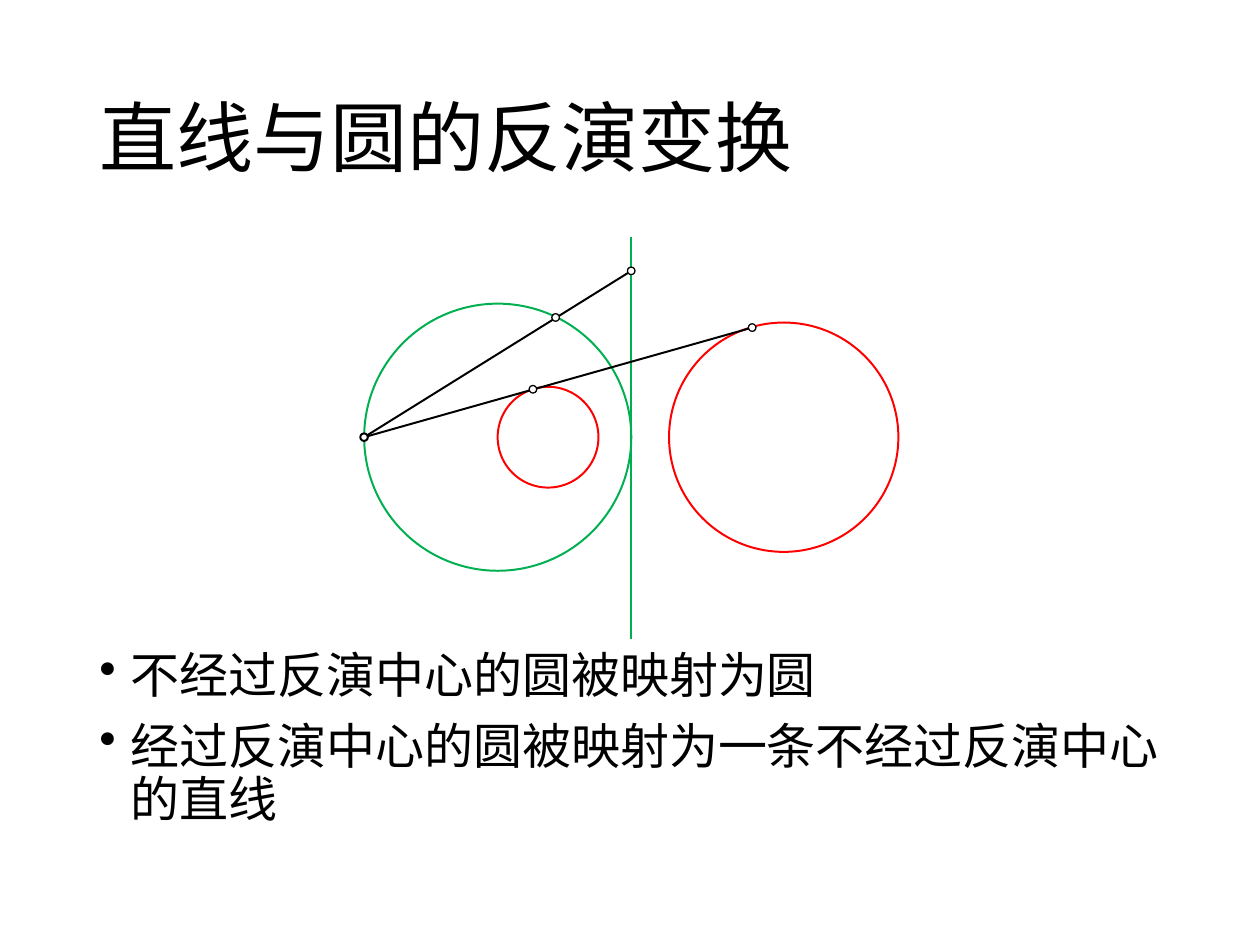
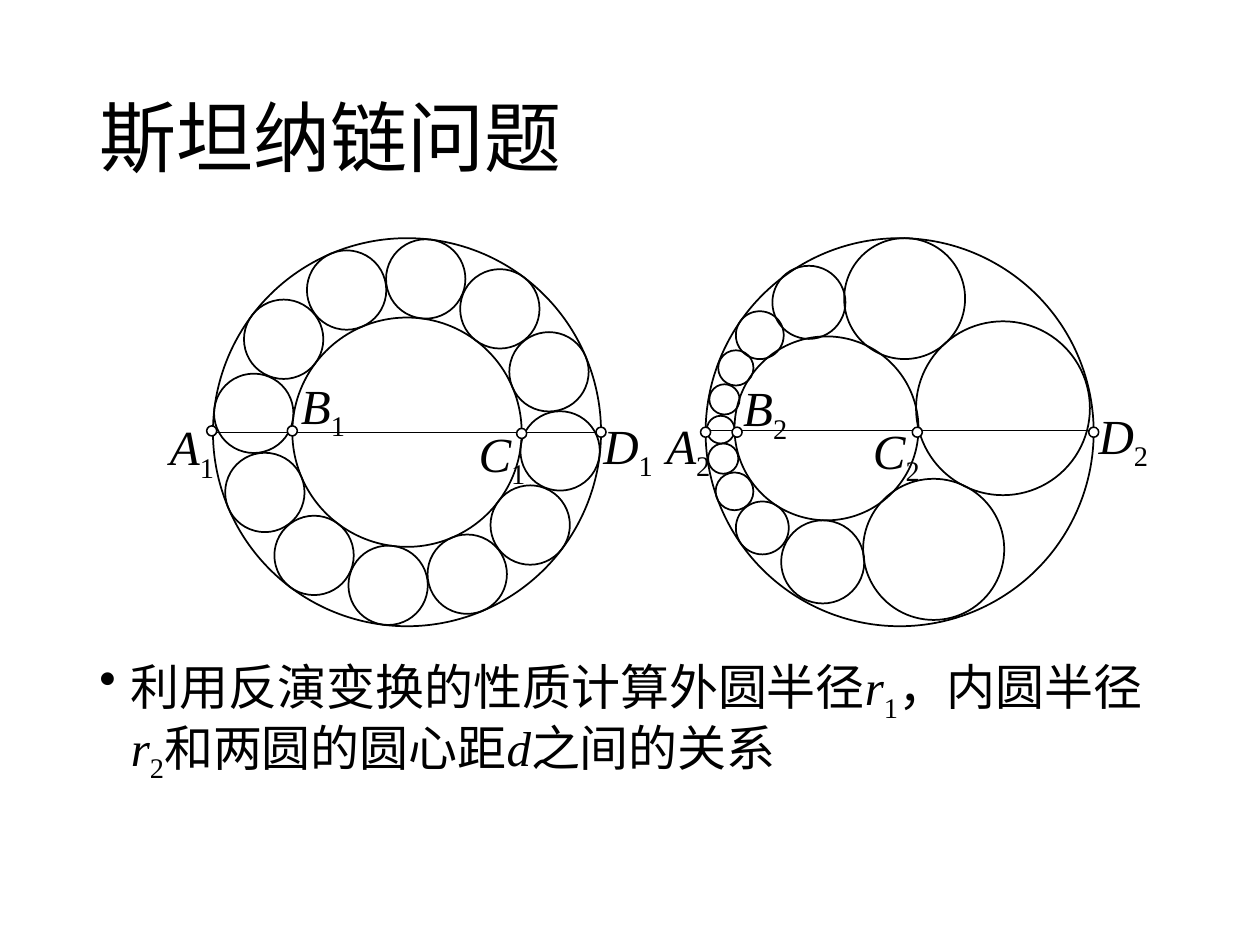
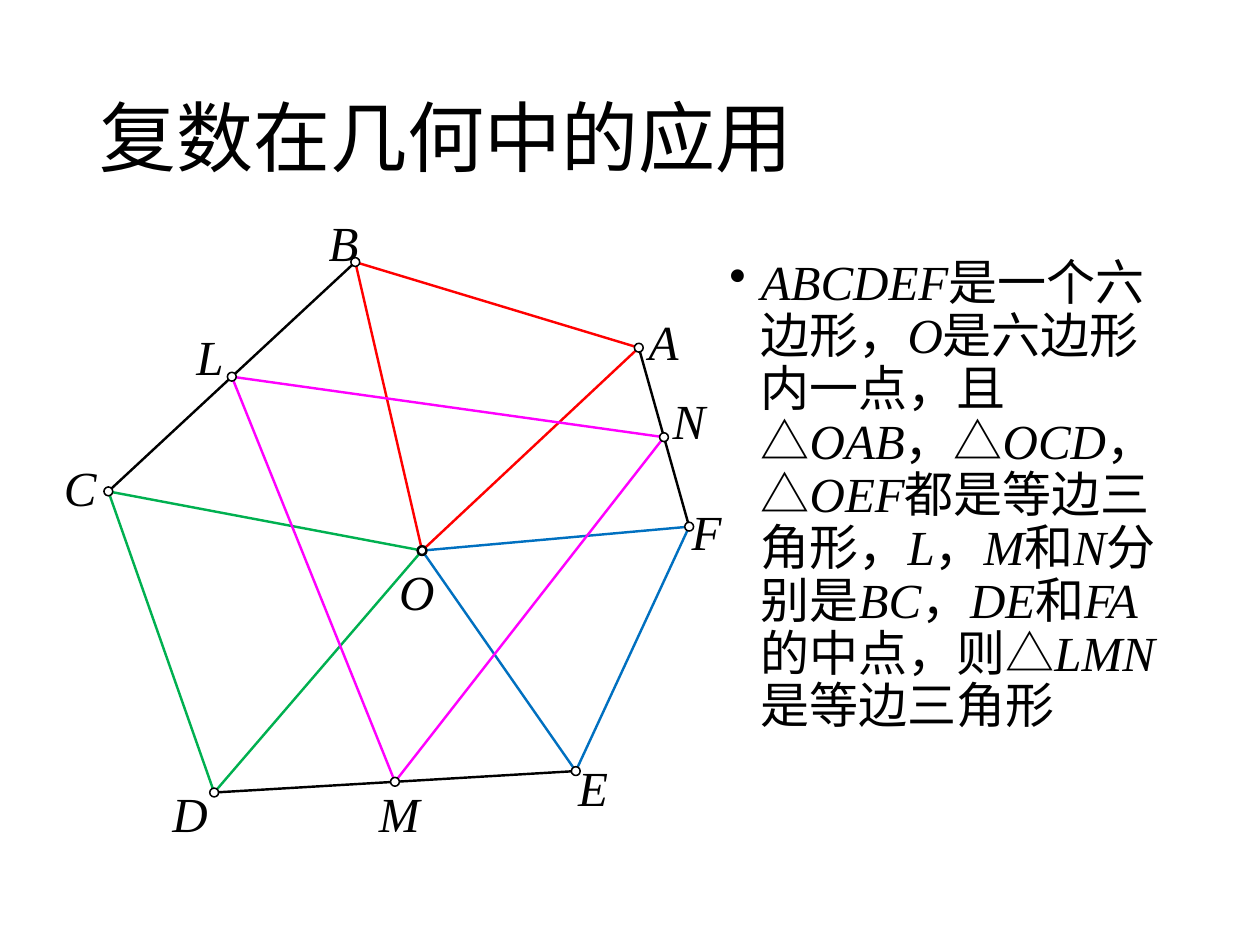
import math

import pptx
import pptx.dml.color
import pptx.enum.shapes
import pptx.enum.text
import pptx.oxml.ns
import pptx.util
from lxml import etree

Inches = pptx.util.Inches
Pt = pptx.util.Pt
qn = pptx.oxml.ns.qn

COLORS = {
    "black": "000000",
    "white": "FFFFFF",
    "green": "00B050",
    "red": "FF0000",
    "blue": "0070C0",
    "magenta": "FF00FF",
}
CJK_FONT = "Noto Sans CJK SC"
MATH_FONT = "Times New Roman"
TITLE_SIZE = 44
TEXT_SIZE = 28
LABEL_HEIGHT = 0.57


def rgb(color):
    return pptx.dml.color.RGBColor.from_string(COLORS[color])


def style_run(run, size, latin_font, italic=False, subscript=False):
    run.font.size = Pt(size)
    run.font.color.rgb = rgb("black")
    run.font.name = latin_font
    run.font.italic = italic
    properties = run._r.get_or_add_rPr()
    etree.SubElement(properties, qn("a:ea")).set("typeface", CJK_FONT)
    if subscript:
        properties.set("baseline", "-25000")


def write_math(paragraph, markup, latin_font=MATH_FONT):
    for index, segment in enumerate(markup.split("*")):
        symbol, _, subscript = segment.partition("_")
        for text, italic, lowered in ((symbol, index % 2 == 1, False), (subscript, False, True)):
            if text:
                run = paragraph.add_run()
                run.text = text
                style_run(run, TEXT_SIZE, latin_font, italic, lowered)


def add_text_frame(slide, left, top, width, height):
    box = slide.shapes.add_textbox(Inches(left), Inches(top), Inches(width), Inches(height))
    box.text_frame.word_wrap = True
    return box.text_frame


def add_titled_slide(deck, title):
    slide = deck.slides.add_slide(deck.slide_layouts[6])
    frame = add_text_frame(slide, 0.69, 0.4, 8.62, 1.45)
    frame.vertical_anchor = pptx.enum.text.MSO_ANCHOR.MIDDLE
    frame.text = title
    frame.paragraphs[0].line_spacing = 0.9
    style_run(frame.paragraphs[0].runs[0], TITLE_SIZE, CJK_FONT)
    return slide


def add_bullets(slide, left, top, width, height, statements, latin_font=MATH_FONT):
    frame = add_text_frame(slide, left, top, width, height)
    for index, statement in enumerate(statements):
        paragraph = frame.add_paragraph() if index else frame.paragraphs[0]
        properties = paragraph._p.get_or_add_pPr()
        properties.set("marL", str(Inches(0.25)))
        properties.set("indent", str(Inches(-0.25)))
        etree.SubElement(properties, qn("a:buChar")).set("char", "•")
        paragraph.line_spacing = 0.9
        if index:
            paragraph.space_before = Pt(10)
        write_math(paragraph, statement, latin_font)


def add_label(slide, markup, left, top, width):
    frame = add_text_frame(slide, left, top, width, LABEL_HEIGHT)
    frame.word_wrap = False
    frame.auto_size = pptx.enum.text.MSO_AUTO_SIZE.SHAPE_TO_FIT_TEXT
    write_math(frame.paragraphs[0], markup)


def add_circle(slide, center, radius, color="black", weight=1, fill=None):
    x, y = center
    circle = slide.shapes.add_shape(
        pptx.enum.shapes.MSO_SHAPE.OVAL,
        Inches(x - radius), Inches(y - radius), Inches(2 * radius), Inches(2 * radius))
    circle.shadow.inherit = False
    if fill:
        circle.fill.solid()
        circle.fill.fore_color.rgb = rgb(fill)
    else:
        circle.fill.background()
    circle.line.color.rgb = rgb(color)
    circle.line.width = Pt(weight)


def add_point(slide, center, radius=0.04, weight=0.88):
    add_circle(slide, center, radius, weight=weight, fill="white")


def add_segment(slide, start, end, color="black", weight=1.0):
    segment = slide.shapes.add_connector(
        pptx.enum.shapes.MSO_CONNECTOR.STRAIGHT, *(Inches(v) for v in (*start, *end)))
    segment.line.color.rgb = rgb(color)
    segment.line.width = Pt(weight)
    etree.SubElement(segment._element.spPr, qn("a:effectLst"))


def midpoint(first, second):
    return tuple((a + b) / 2 for a, b in zip(first, second))


def build_inversion_slide(deck):
    slide = add_titled_slide(deck, "直线与圆的反演变换")
    add_bullets(slide, 0.69, 5.12, 8.62, 1.63,
                ["不经过反演中心的圆被映射为圆",
                 "经过反演中心的圆被映射为一条不经过反演中心的直线"], CJK_FONT)
    weight = 1.13
    inversion_center = (2.89, 3.47)
    on_line, on_green_circle = (5.01, 2.15), (4.41, 2.52)
    on_large_circle, on_small_circle = (5.97, 2.6), (4.23, 3.09)
    for center, radius, color in (
            ((3.95, 3.47), 1.06, "green"),
            ((4.35, 3.47), 0.4, "red"),
            ((6.22, 3.47), 0.91, "red")):
        add_circle(slide, center, radius, color, weight)
    add_segment(slide, (5.01, 1.88), (5.01, 5.07), "green", weight)
    for image_point in (on_large_circle, on_line):
        add_segment(slide, inversion_center, image_point, weight=weight)
    add_point(slide, inversion_center, 0.03, weight)
    for point in (on_large_circle, on_small_circle, on_line, on_green_circle):
        add_point(slide, point, 0.03, 0.75)


def build_steiner_slide(deck):
    slide = add_titled_slide(deck, "斯坦纳链问题")
    add_bullets(slide, 0.69, 5.17, 8.62, 1.19,
                ["利用反演变换的性质计算外圆半径*r_1*，内圆半径*r_2*和两圆的圆心距*d*之间的关系"])

    x, y = ring_center = (3.23, 3.43)
    outer_radius, inner_radius = 1.54, 0.91
    ring_radius = (outer_radius + inner_radius) / 2
    chain_length = 12
    for index in range(chain_length):
        angle = math.radians(7 + 360 / chain_length * index)
        center = (x + ring_radius * math.cos(angle), y + ring_radius * math.sin(angle))
        add_circle(slide, center, (outer_radius - inner_radius) / 2)
    for radius in (outer_radius, inner_radius):
        add_circle(slide, ring_center, radius)

    eccentric_chain = [
        (5.72, 3.41, 0.11), (5.75, 3.17, 0.12), (5.84, 2.92, 0.14), (6.03, 2.66, 0.19),
        (6.42, 2.4, 0.29), (7.18, 2.37, 0.48), (7.96, 3.24, 0.69), (7.41, 4.36, 0.56),
        (6.53, 4.46, 0.33), (6.05, 4.19, 0.21), (5.83, 3.9, 0.15), (5.74, 3.64, 0.12),
    ]
    eccentric_bounds = [(6.56, 3.4, 0.73), (7.14, 3.43, 1.54)]
    for x, y, radius in eccentric_chain + eccentric_bounds:
        add_circle(slide, (x, y), radius)

    add_segment(slide, (1.69, 3.43), (4.77, 3.43), weight=0.5)
    add_segment(slide, (5.6, 3.42), (8.68, 3.42), weight=0.5)
    for point in ((1.68, 3.42), (2.32, 3.42), (4.14, 3.44), (4.77, 3.43),
                  (5.6, 3.43), (5.85, 3.43), (7.28, 3.43), (8.68, 3.43)):
        add_point(slide, point)
    for markup, left, top, width in (
            ("*A_1*", 1.25, 3.26, 0.57), ("*B_1*", 2.29, 2.93, 0.59),
            ("*C_1*", 3.7, 3.31, 0.59), ("*D_1*", 4.69, 3.25, 0.62),
            ("*A_2*", 5.19, 3.25, 0.57), ("*B_2*", 5.8, 2.95, 0.57),
            ("*C_2*", 6.83, 3.29, 0.59), ("*D_2*", 8.62, 3.17, 0.62)):
        add_label(slide, markup, left, top, width)


def build_hexagon_slide(deck):
    slide = add_titled_slide(deck, "复数在几何中的应用")
    add_bullets(slide, 5.69, 2, 3.63, 4.76,
                ["*ABCDEF*是一个六边形，*O*是六边形内一点，且△*OAB*，△*OCD*，△*OEF*"
                 "都是等边三角形，*L*，*M*和*N*分别是*BC*，*DE*和*FA*的中点，则△*LMN*是等边三角形"])
    points = {
        "O": (3.35, 4.37), "A": (5.07, 2.76), "B": (2.82, 2.08), "C": (0.86, 3.9),
        "D": (1.7, 6.29), "E": (4.57, 6.12), "F": (5.47, 4.18),
    }
    for middle, (start, end) in {"L": "BC", "M": "DE", "N": "FA"}.items():
        points[middle] = midpoint(points[start], points[end])
    edges = {
        "black": ["BC", "DE", "FA"],
        "red": ["AB", "OA", "OB"],
        "green": ["CD", "OC", "OD"],
        "blue": ["EF", "OE", "OF"],
        "magenta": ["LM", "MN", "NL"],
    }
    for color, pairs in edges.items():
        for start, end in pairs:
            add_segment(slide, points[start], points[end], color, 1.38)
    for letter, point in points.items():
        add_point(slide, point, 0.035, 1.38 if letter == "O" else 0.88)
    for letter, left, top, width in (
            ("A", 5.05, 2.42, 0.44), ("B", 2.51, 1.64, 0.44), ("C", 0.41, 3.58, 0.46),
            ("D", 1.27, 6.17, 0.49), ("E", 4.49, 5.96, 0.44), ("F", 5.39, 3.93, 0.44),
            ("L", 1.46, 2.54, 0.42), ("M", 2.91, 6.17, 0.53), ("N", 5.24, 3.05, 0.46),
            ("O", 3.07, 4.41, 0.49)):
        add_label(slide, f"*{letter}*", left, top, width)


def main():
    deck = pptx.Presentation()
    deck.slide_width = Inches(10)
    deck.slide_height = Inches(7.5)
    build_inversion_slide(deck)
    build_steiner_slide(deck)
    build_hexagon_slide(deck)
    deck.save("out.pptx")


if __name__ == "__main__":
    main()
